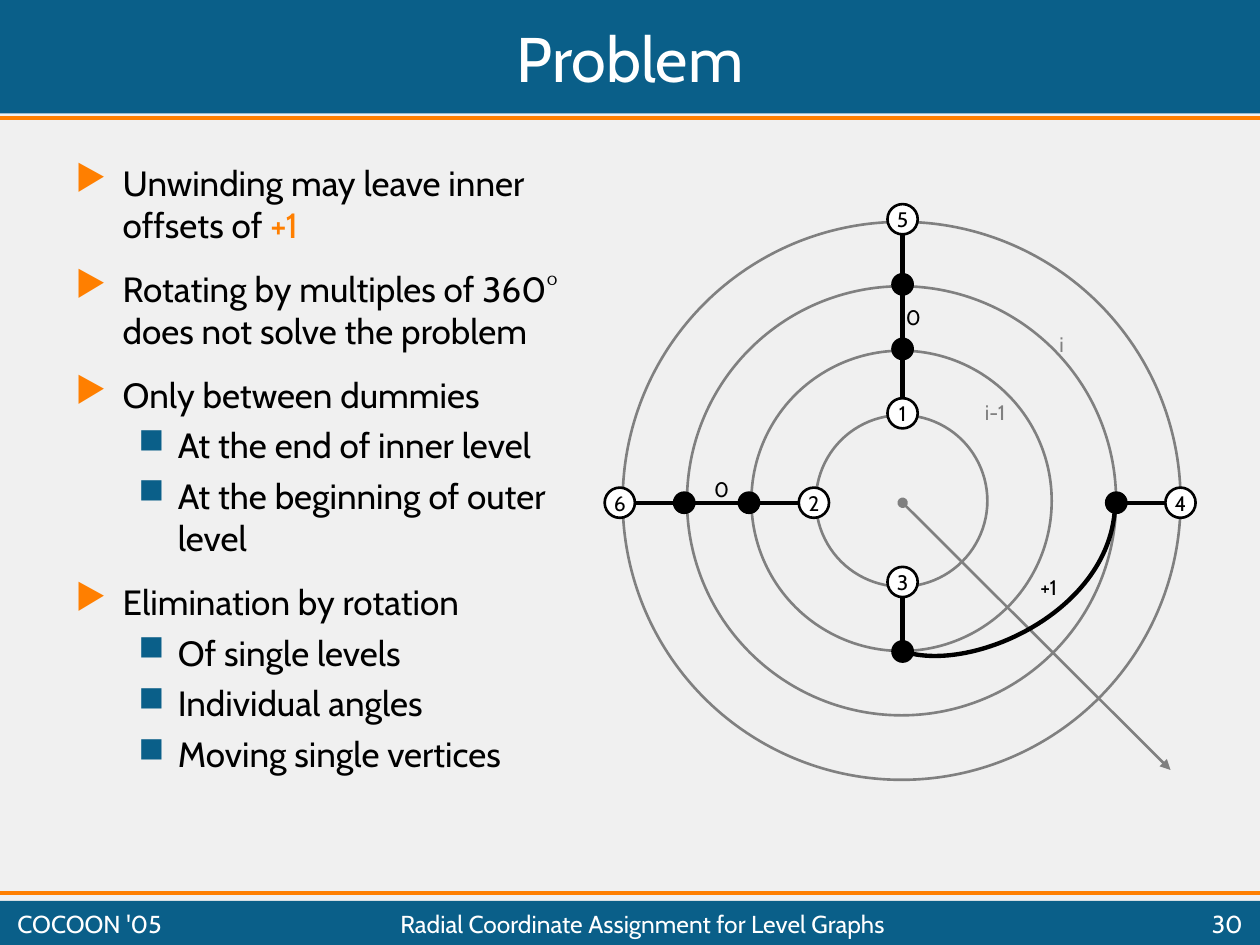
from dataclasses import dataclass

from lxml import etree
from pptx import Presentation
from pptx.dml.color import RGBColor
from pptx.enum.shapes import MSO_CONNECTOR, MSO_SHAPE
from pptx.enum.text import MSO_ANCHOR, MSO_AUTO_SIZE, PP_ALIGN
from pptx.oxml.ns import qn
from pptx.util import Pt

RECT, OVAL = MSO_SHAPE.RECTANGLE, MSO_SHAPE.OVAL
STRAIGHT = MSO_CONNECTOR.STRAIGHT
LEFT, CENTER, RIGHT = PP_ALIGN.LEFT, PP_ALIGN.CENTER, PP_ALIGN.RIGHT
TOP, MIDDLE = MSO_ANCHOR.TOP, MSO_ANCHOR.MIDDLE

FONT = "Cabin"
COLORS = {"bg": "F0F0F0", "blue": "0A5F89", "orange": "FF7F00",
          "black": "000000", "white": "FFFFFF", "gray": "808080"}
WIDTH, HEIGHT = 720, 540
CX, CY = 515.8, 287.3           # centre of the radial drawing
RING_CX, RING_CY = 515.2, 286.2
VERTEX_SIZE, DOT_SIZE = 17.3, 11.5


@dataclass
class Node:
    x: float
    y: float
    label: str = ""


@dataclass
class Label:
    text: str
    x: float
    y: float
    w: float
    color: str = "black"


@dataclass
class Bullet:
    level: int
    runs: list[tuple[str, str]]


# Vertices carry a label, dummies do not
NODES = {
    "a2": Node(CX, 199.4), "c1": Node(CX, 372.3),
    "b2": Node(428, CY), "a3": Node(CX, 162.5),
    "b3": Node(391, CY), "d1": Node(637.9, CY),
    "v1": Node(CX, 236.2, "1"), "v2": Node(465.1, CY, "2"),
    "v3": Node(CX, 332.6, "3"), "v4": Node(674.6, CY, "4"),
    "v5": Node(CX, 125.3, "5"), "v6": Node(354.2, CY, "6"),
}
CHAINS = [("v1", "a2", "a3", "v5"), ("v2", "b2", "b3", "v6"),
          ("v3", "c1"), ("d1", "v4")]
LABELS = [
    Label("i-1", 555.8, 224.6, 28, "gray"), Label("i", 598.3, 185.8, 17.3, "gray"),
    Label("+1", 587.5, 324.7, 28),
    Label("0", 510.5, 170.6, 21), Label("0", 401, 268.6, 21),
]
BULLETS = [
    Bullet(0, [("Unwinding may leave inner offsets of ", "black"), ("+1", "orange")]),
    Bullet(0, [("Rotating by multiples of 360° does not solve the problem", "black")]),
    Bullet(0, [("Only between dummies", "black")]),
    Bullet(1, [("At the end of inner level", "black")]),
    Bullet(1, [("At the beginning of outer level", "black")]),
    Bullet(0, [("Elimination by rotation", "black")]),
    Bullet(1, [("Of single levels", "black")]),
    Bullet(1, [("Individual angles", "black")]),
    Bullet(1, [("Moving single vertices", "black")]),
]
# Per level: left margin, indent, space before, bullet, bullet colour
LEVELS = [(27, -27, 12.5, "▶", "orange"), (58.5, -22.5, 5, "■", "blue")]
FOOTERS = [("Radial Coordinate Assignment for Level Graphs", 108, 518.4, CENTER),
           ("30", 632.2, 85, RIGHT), ("COCOON '05", 2.9, 103.7, LEFT)]


def rgb(name: str) -> RGBColor:
    return RGBColor.from_string(COLORS[name])


def add_run(p, text: str, size: float, color: str) -> None:
    r = p.add_run()
    r.text = text
    r.font.name, r.font.size = FONT, Pt(size)
    r.font.color.rgb = rgb(color)


def style(sp, fill: str = "", line: str = "", weight: float = 1.5) -> None:
    sp.shadow.inherit = False
    if fill:
        sp.fill.solid()
        sp.fill.fore_color.rgb = rgb(fill)
    else:
        sp.fill.background()
    if line:
        sp.line.color.rgb, sp.line.width = rgb(line), Pt(weight)
    else:
        sp.line.fill.background()


def add_disc(slide, x: float, y: float, size: float, fill: str, line: str):
    sp = slide.shapes.add_shape(OVAL, Pt(x - size / 2), Pt(y - size / 2), Pt(size), Pt(size))
    style(sp, fill, line)
    return sp


def add_line(slide, x1: float, y1: float, x2: float, y2: float, color: str, weight: float):
    cxn = slide.shapes.add_connector(STRAIGHT, Pt(x1), Pt(y1), Pt(x2), Pt(y2))
    cxn.line.color.rgb, cxn.line.width = rgb(color), Pt(weight)
    etree.SubElement(cxn._element.spPr, qn("a:effectLst"))
    return cxn


def add_text(slide, x: float, y: float, w: float, h: float, anchor=TOP, wrap: bool = True):
    tf = slide.shapes.add_textbox(Pt(x), Pt(y), Pt(w), Pt(h)).text_frame
    tf.word_wrap, tf.vertical_anchor = wrap, anchor
    return tf


def add_curve(slide, points: list[tuple[float, float]]) -> None:
    """Cubic curve given by its start, two control points and end."""
    start, *rest = [(Pt(x), Pt(y)) for x, y in points]
    builder = slide.shapes.build_freeform(*start, scale=1.0)
    builder.add_line_segments(rest, close=False)
    sp = builder.convert_to_shape()
    style(sp, line="black", weight=2.5)
    path = next(sp._element.iter(qn("a:path")))
    curve = etree.SubElement(path, qn("a:cubicBezTo"))
    for segment in path.findall(qn("a:lnTo")):
        curve.append(segment[0])
        path.remove(segment)


def add_bullet(p, bullet: Bullet) -> None:
    margin, indent, before, char, color = LEVELS[bullet.level]
    p.level, p.space_before = bullet.level, Pt(before)
    pPr = p._p.get_or_add_pPr()
    pPr.set("marL", str(Pt(margin)))
    pPr.set("indent", str(Pt(indent)))
    bu_color = etree.SubElement(pPr, qn("a:buClr"))
    etree.SubElement(bu_color, qn("a:srgbClr"), val=COLORS[color])
    etree.SubElement(pPr, qn("a:buChar"), char=char)
    for text, run_color in bullet.runs:
        add_run(p, text, 20, run_color)


def add_frame(slide) -> None:
    # Bands and rules
    for y, h in ((0, 64.8), (514.8, 25.2)):
        style(slide.shapes.add_shape(RECT, 0, Pt(y), Pt(WIDTH), Pt(h)), "blue")
    for y in (67.7, 510.5):
        add_line(slide, 0, y, WIDTH, y, "orange", 2.25)

    # Title, brought in front of its band
    title = slide.shapes.title
    title.left, title.top, title.width, title.height = Pt(2.9), Pt(2.9), Pt(714.2), Pt(59.8)
    tf = title.text_frame
    tf.vertical_anchor = MIDDLE
    tf.paragraphs[0].alignment = CENTER
    add_run(tf.paragraphs[0], "Problem", 36, "white")
    slide.shapes._spTree.append(title._element)

    # Footer
    for text, x, w, align in FOOTERS:
        p = add_text(slide, x, 517.7, w, 20.2, MIDDLE).paragraphs[0]
        p.alignment = align
        add_run(p, text, 14, "white")


def add_drawing(slide) -> None:
    # Level rings and the cut ray
    for level in range(4):
        add_disc(slide, RING_CX, RING_CY, 2 * (49 + 36.8 * level), "", "gray")
    ray = add_line(slide, CX, CY, 668.9, 440, "gray", 1.5)
    ln = ray.line._get_or_add_ln()
    etree.SubElement(ln, qn("a:headEnd"), type="oval")
    etree.SubElement(ln, qn("a:tailEnd"), type="triangle")

    # Edges
    for chain in CHAINS:
        for a, b in zip(chain, chain[1:]):
            add_line(slide, NODES[a].x, NODES[a].y, NODES[b].x, NODES[b].y, "black", 2.5)
    add_curve(slide, [(516.2, 372.2), (555.1, 385.2), (635.8, 349.2), (637.2, 288)])

    # Nodes
    for node in NODES.values():
        if not node.label:
            add_disc(slide, node.x, node.y, DOT_SIZE, "black", "black")
            continue
        tf = add_disc(slide, node.x, node.y, VERTEX_SIZE, "white", "black").text_frame
        tf.word_wrap, tf.vertical_anchor = False, MIDDLE
        tf.paragraphs[0].alignment = CENTER
        add_run(tf.paragraphs[0], node.label, 12, "black")

    # Offsets and level names
    for label in LABELS:
        tf = add_text(slide, label.x, label.y, label.w, 21.6, wrap=False)
        tf.auto_size = MSO_AUTO_SIZE.SHAPE_TO_FIT_TEXT
        add_run(tf.paragraphs[0], label.text, 12, label.color)


def main() -> None:
    prs = Presentation()
    prs.slide_width, prs.slide_height = Pt(WIDTH), Pt(HEIGHT)
    slide = prs.slides.add_slide(prs.slide_layouts[5])
    slide.background.fill.solid()
    slide.background.fill.fore_color.rgb = rgb("bg")
    add_frame(slide)
    tf = add_text(slide, 36, 88.6, 303.8, 408.2)
    for i, bullet in enumerate(BULLETS):
        add_bullet(tf.add_paragraph() if i else tf.paragraphs[0], bullet)
    add_drawing(slide)
    prs.save("out.pptx")


if __name__ == "__main__":
    main()
